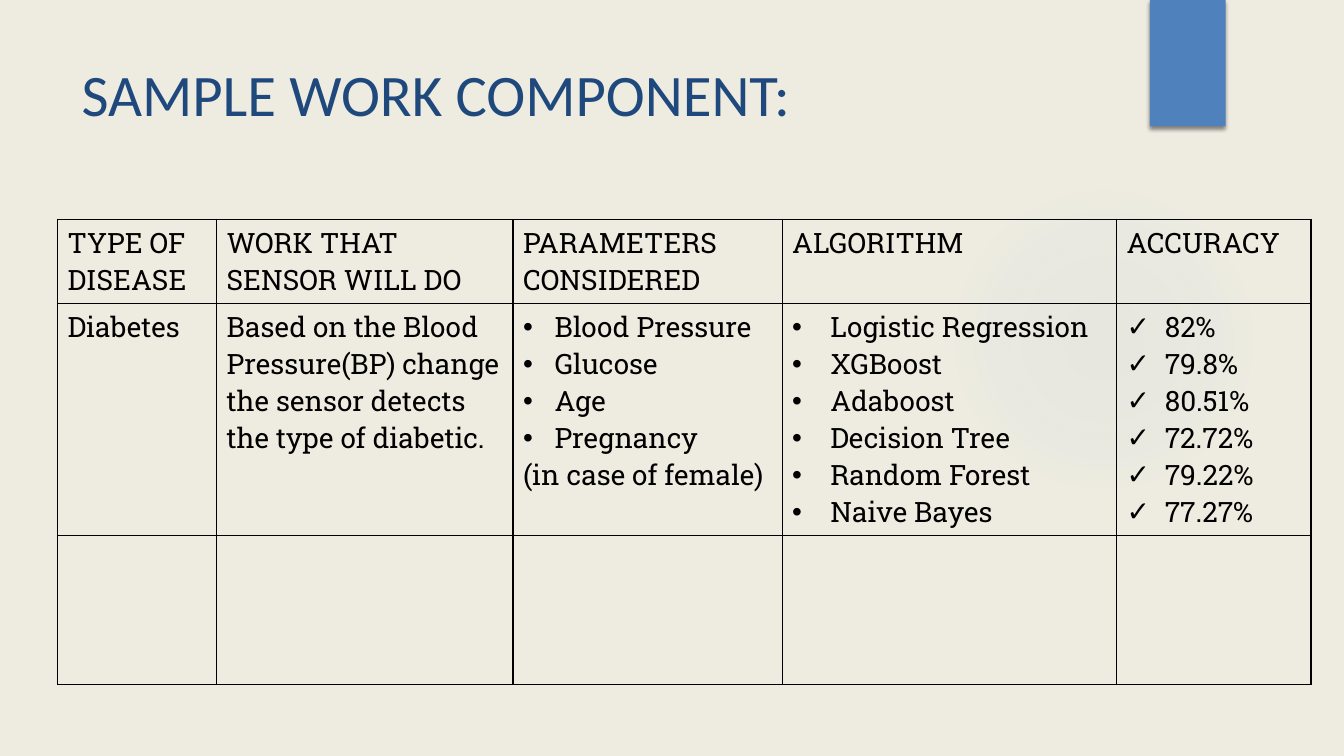
from lxml.etree import SubElement
from pptx import Presentation
from pptx.dml.color import RGBColor
from pptx.enum.shapes import MSO_SHAPE
from pptx.enum.text import MSO_ANCHOR, PP_ALIGN
from pptx.oxml import parse_xml
from pptx.oxml.ns import nsdecls, qn
from pptx.util import Cm, Pt

CREAM = RGBColor(0xEE, 0xEC, 0xE1)
BLUE = RGBColor(0x4F, 0x81, 0xBD)
NAVY = RGBColor(0x1F, 0x49, 0x7D)
PALE_BLUE = RGBColor(0x95, 0xB3, 0xD7)
BLACK = RGBColor(0, 0, 0)

COLUMN_WIDTHS = (4.01, 7.47, 6.78, 8.43, 4.9)
ROW_HEIGHTS = (1.35, 3.76, 3.76)
HEADINGS = ("TYPE OF DISEASE", "WORK THAT SENSOR WILL DO",
            "PARAMETERS CONSIDERED", "ALGORITHM", "ACCURACY")
SENSOR_WORK = ("Based on the Blood Pressure(BP) change the sensor detects "
               "the type of diabetic.")
PARAMETERS = ("Blood Pressure", "Glucose", "Age", "Pregnancy")
ACCURACIES = {"Logistic Regression": "82%", "XGBoost": "79.8%",
              "Adaboost": "80.51%", "Decision Tree": "72.72%",
              "Random Forest": "79.22%", "Naive Bayes": "77.27%"}


def write(paragraph, text, font="Roboto Slab", size=20, color=BLACK,
          bullet=None, indent=0.96):
    """Fill a paragraph with formatted text and an optional bullet."""
    paragraph.alignment = PP_ALIGN.LEFT
    run = paragraph.add_run()
    run.text = text
    run.font.name = font
    run.font.size = Pt(size)
    run.font.color.rgb = color
    if bullet:
        properties = paragraph._p.get_or_add_pPr()
        properties.set("marL", str(Cm(indent)))
        properties.set("indent", str(-Cm(indent)))
        SubElement(properties, qn("a:buFont"), typeface="Arial")
        SubElement(properties, qn("a:buChar"), char=bullet)


def write_lines(cell, lines, **style):
    """Write each line as its own paragraph of a cell."""
    frame = cell.text_frame
    for number, line in enumerate(lines):
        write(frame.add_paragraph() if number else frame.paragraphs[0], line, **style)


def add_decoration(slide, kind, left, top, width, height):
    """Add a plain blue shape behind the title."""
    decoration = slide.shapes.add_shape(kind, Cm(left), Cm(top), Cm(width), Cm(height))
    decoration.shadow.inherit = False
    decoration.fill.solid()
    decoration.fill.fore_color.rgb = BLUE
    decoration.line.fill.background()
    slide.shapes.title.element.addprevious(decoration.element)
    return decoration


def add_glow(slide):
    """Add the faint circle that fades out towards its rim."""
    glow = add_decoration(slide, MSO_SHAPE.OVAL, 23.9, 4.65, 7.82, 7.82)
    stops = "".join(
        f'<a:gs pos="{place * 1000}"><a:srgbClr val="{PALE_BLUE}">'
        f'<a:alpha val="{alpha * 1000}"/></a:srgbClr></a:gs>'
        for place, alpha in ((0, 7), (36, 6), (69, 0), (100, 0)))
    gradient = parse_xml(
        f'<a:gradFill {nsdecls("a")}><a:gsLst>{stops}</a:gsLst><a:path path="circle">'
        '<a:fillToRect l="50000" t="50000" r="50000" b="50000"/></a:path></a:gradFill>')
    solid = glow.element.spPr.find(qn("a:solidFill"))
    solid.getparent().replace(solid, gradient)


def add_ribbon(slide):
    """Add the blue ribbon with its soft shadow at the top edge."""
    ribbon = add_decoration(slide, MSO_SHAPE.RECTANGLE, 28.98, 0, 1.91, 3.18)
    effects = ribbon.element.spPr.find(qn("a:effectLst"))
    effects.append(parse_xml(
        f'<a:outerShdw {nsdecls("a")} blurRad="{Pt(3)}" dist="{Pt(2)}" dir="5400000" '
        f'rotWithShape="0"><a:srgbClr val="{BLACK}"><a:alpha val="45000"/>'
        '</a:srgbClr></a:outerShdw>'))


def add_title(slide, text):
    """Place and format the slide title."""
    title = slide.shapes.title
    title.left, title.top, title.width, title.height = Cm(1.8), Cm(1.27), Cm(26.14), Cm(2.13)
    title.text_frame.vertical_anchor = MSO_ANCHOR.MIDDLE
    write(title.text_frame.paragraphs[0], text, font="Calibri", size=42, color=NAVY)


def draw_borders(cell):
    """Give a cell thin black borders and no fill."""
    properties = cell._tc.get_or_add_tcPr()
    for side in ("lnL", "lnR", "lnT", "lnB"):
        properties.append(parse_xml(
            f'<a:{side} {nsdecls("a")} w="{Pt(1)}"><a:solidFill>'
            f'<a:srgbClr val="{BLACK}"/></a:solidFill></a:{side}>'))
    cell.fill.background()


def add_results_table(slide):
    """Add the table of diseases, algorithms and accuracies."""
    frame = slide.shapes.add_table(
        len(ROW_HEIGHTS), len(COLUMN_WIDTHS), Cm(1.45), Cm(5.53),
        Cm(sum(COLUMN_WIDTHS)), Cm(sum(ROW_HEIGHTS)))
    results = frame.table
    results.first_row = results.horz_banding = False
    for column, width in zip(results.columns, COLUMN_WIDTHS):
        column.width = Cm(width)
    for row, height in zip(results.rows, ROW_HEIGHTS):
        row.height = Cm(height)
    for cell in results.iter_cells():
        draw_borders(cell)
    for position, heading in enumerate(HEADINGS):
        write_lines(results.cell(0, position), [heading])
    disease, work, parameters, algorithms, accuracies = results.rows[1].cells
    write_lines(disease, ["Diabetes"])
    write_lines(work, [SENSOR_WORK])
    write_lines(parameters, PARAMETERS, bullet="•", indent=0.79)
    write(parameters.text_frame.add_paragraph(), "(in case of female)")
    write_lines(algorithms, ACCURACIES.keys(), bullet="•")
    write_lines(accuracies, ACCURACIES.values(), bullet="✓")


def main():
    """Build the slide and save it."""
    presentation = Presentation()
    presentation.slide_width, presentation.slide_height = Cm(33.87), Cm(19.05)
    slide = presentation.slides.add_slide(presentation.slide_layouts[5])
    slide.background.fill.solid()
    slide.background.fill.fore_color.rgb = CREAM
    add_glow(slide)
    add_ribbon(slide)
    add_title(slide, "SAMPLE WORK COMPONENT:")
    add_results_table(slide)
    presentation.save("out.pptx")


if __name__ == "__main__":
    main()
